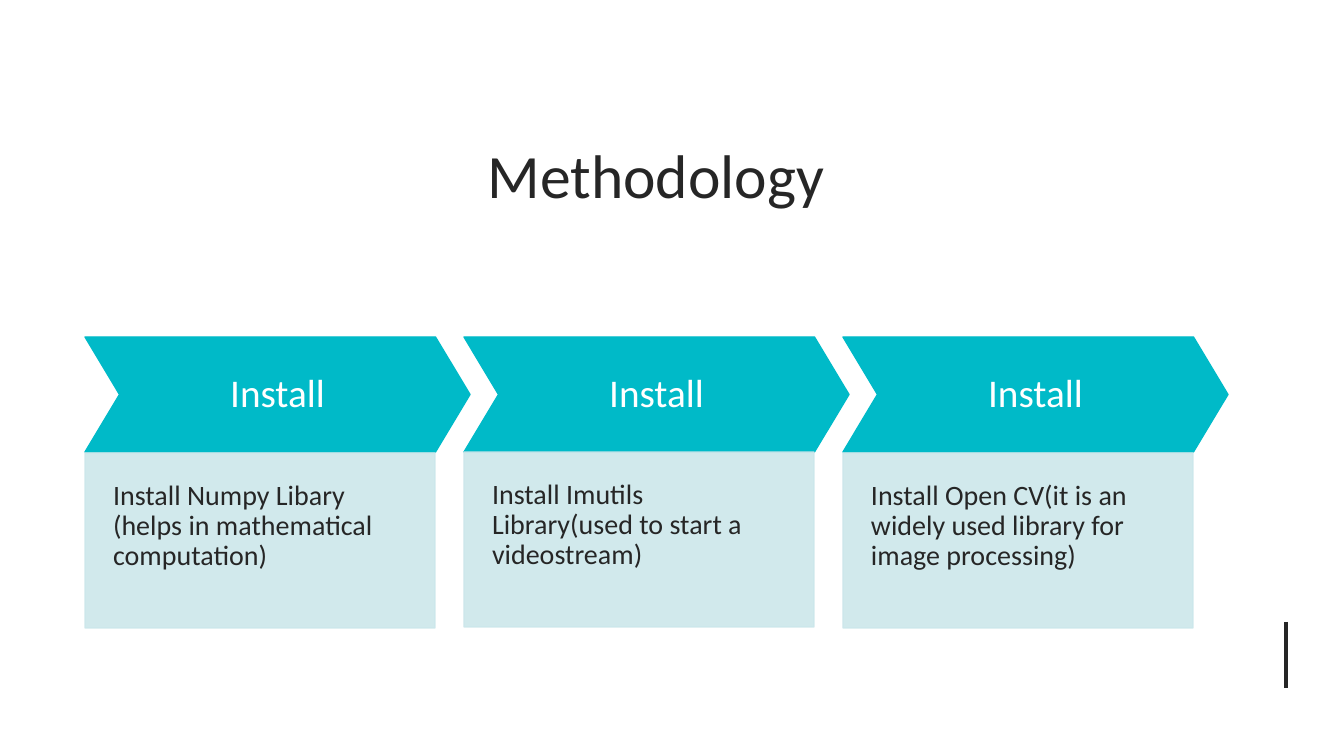
from lxml.etree import SubElement
from pptx import Presentation
from pptx.dml.color import RGBColor
from pptx.enum.shapes import MSO_CONNECTOR, MSO_SHAPE
from pptx.enum.text import MSO_ANCHOR, PP_ALIGN
from pptx.oxml.ns import qn
from pptx.util import Emu, Pt

COLORS = {"ink": "262626", "white": "FFFFFF", "teal": "00BAC8", "pale": "CCE7EB"}
FONT = "Calibri"
EMU_PER_PX = 914400 / 100.8

STEPS = [
    ("Install", "Install Numpy Libary (helps in mathematical computation)", 453),
    ("Install", "Install Imutils Library(used to start a videostream)", 452),
    ("Install", "Install Open CV(it is an widely used library for image processing)", 453),
]
STEP_LEFT, STEP_PITCH = 85, 379


def px(length):
    return Emu(round(length * EMU_PER_PX))


def color(name):
    return RGBColor.from_string(COLORS[name])


class SlideBuilder:
    def __init__(self, page):
        self.page = page

    def add_text(self, shape, text, size, ink, align, anchor, insets, spacing):
        frame = shape.text_frame
        frame.word_wrap = True
        frame.vertical_anchor = anchor
        frame.margin_left, frame.margin_top, frame.margin_right, frame.margin_bottom = map(px, insets)
        para = frame.paragraphs[0]
        para.alignment = align
        para.line_spacing = spacing
        span = para.add_run()
        span.text = text
        span.font.name = FONT
        span.font.size = Pt(size)
        span.font.color.rgb = color(ink)

    def title(self, text, left, top, width, height):
        box = self.page.shapes.title
        box.left, box.top, box.width, box.height = map(px, (left, top, width, height))
        self.add_text(box, text, 44, "ink", PP_ALIGN.CENTER, MSO_ANCHOR.MIDDLE, (10, 5, 10, 5), 1.0)

    def block(self, kind, left, top, width, height, fill, opacity=100):
        box = self.page.shapes.add_shape(kind, *map(px, (left, top, width, height)))
        box.shadow.inherit = False
        box.line.width = Pt(1)
        for paint in (box.fill, box.line.fill):
            paint.solid()
            paint.fore_color.rgb = color(fill)
        if opacity < 100:
            for tint in box.element.spPr.iter(qn("a:srgbClr")):
                SubElement(tint, qn("a:alpha"), val=str(opacity * 1000))
        return box

    def chevron(self, text, left, top, width, height):
        box = self.block(MSO_SHAPE.CHEVRON, left, top, width, height, "teal")
        box.adjustments[0] = 0.3
        self.add_text(box, text, 28, "white", PP_ALIGN.CENTER, MSO_ANCHOR.MIDDLE, (14, 14, 14, 14), 0.9)

    def panel(self, text, left, top, width, height):
        box = self.block(MSO_SHAPE.RECTANGLE, left, top, width, height, "pale", 90)
        self.add_text(box, text, 20, "ink", PP_ALIGN.LEFT, MSO_ANCHOR.TOP, (28, 28, 28, 55), 0.9)

    def rule(self, start_x, start_y, end_x, end_y):
        line = self.page.shapes.add_connector(
            MSO_CONNECTOR.STRAIGHT, *map(px, (start_x, start_y, end_x, end_y)))
        line.line.width = Pt(3)
        line.line.color.rgb = color("ink")
        SubElement(line.element.spPr, qn("a:effectLst"))


def main():
    deck = Presentation()
    deck.slide_width, deck.slide_height = px(1344), px(756)
    builder = SlideBuilder(deck.slides.add_slide(deck.slide_layouts[5]))
    builder.rule(1286, 622, 1286, 688)
    builder.title("Methodology", 84, 95, 1144, 158)
    for index, (heading, detail, panel_top) in enumerate(STEPS):
        left = STEP_LEFT + index * STEP_PITCH
        builder.chevron(heading, left, 337, 385, 115)
        builder.panel(detail, left, panel_top, 350, 175)
    deck.save("out.pptx")


if __name__ == "__main__":
    main()
